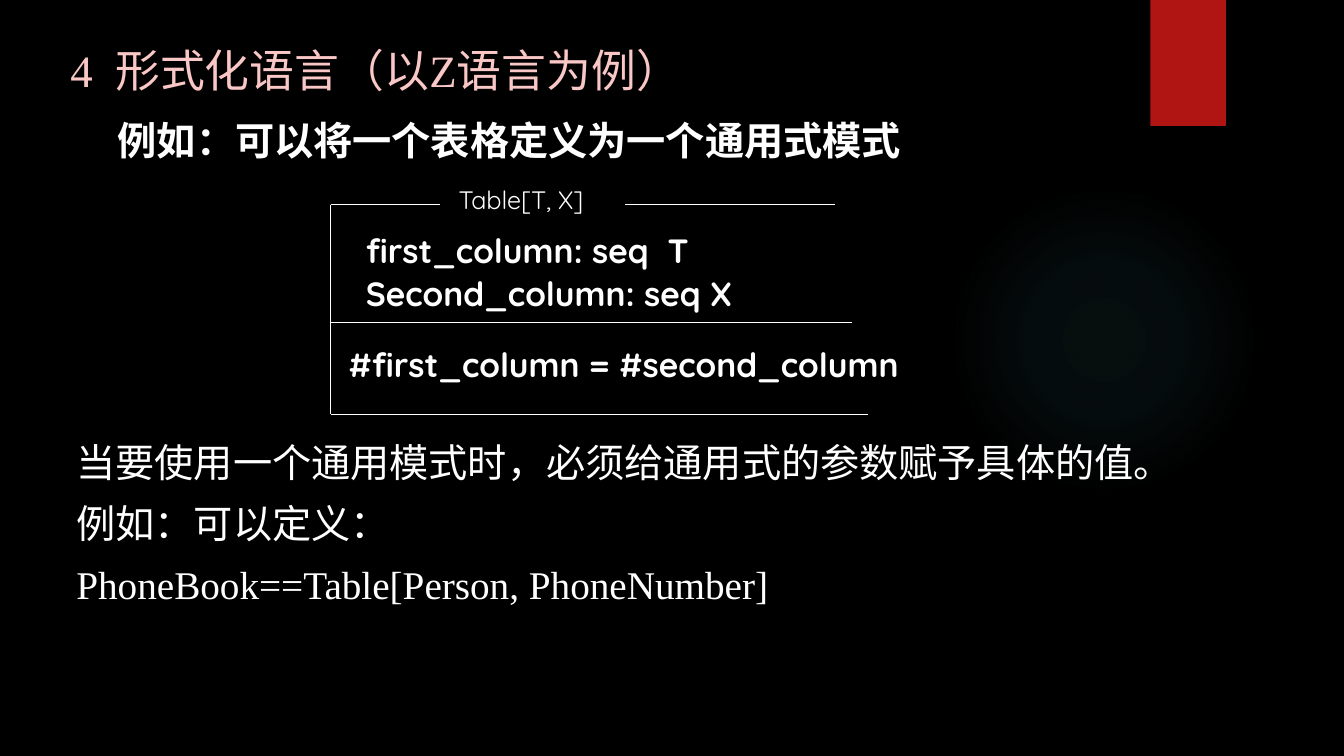
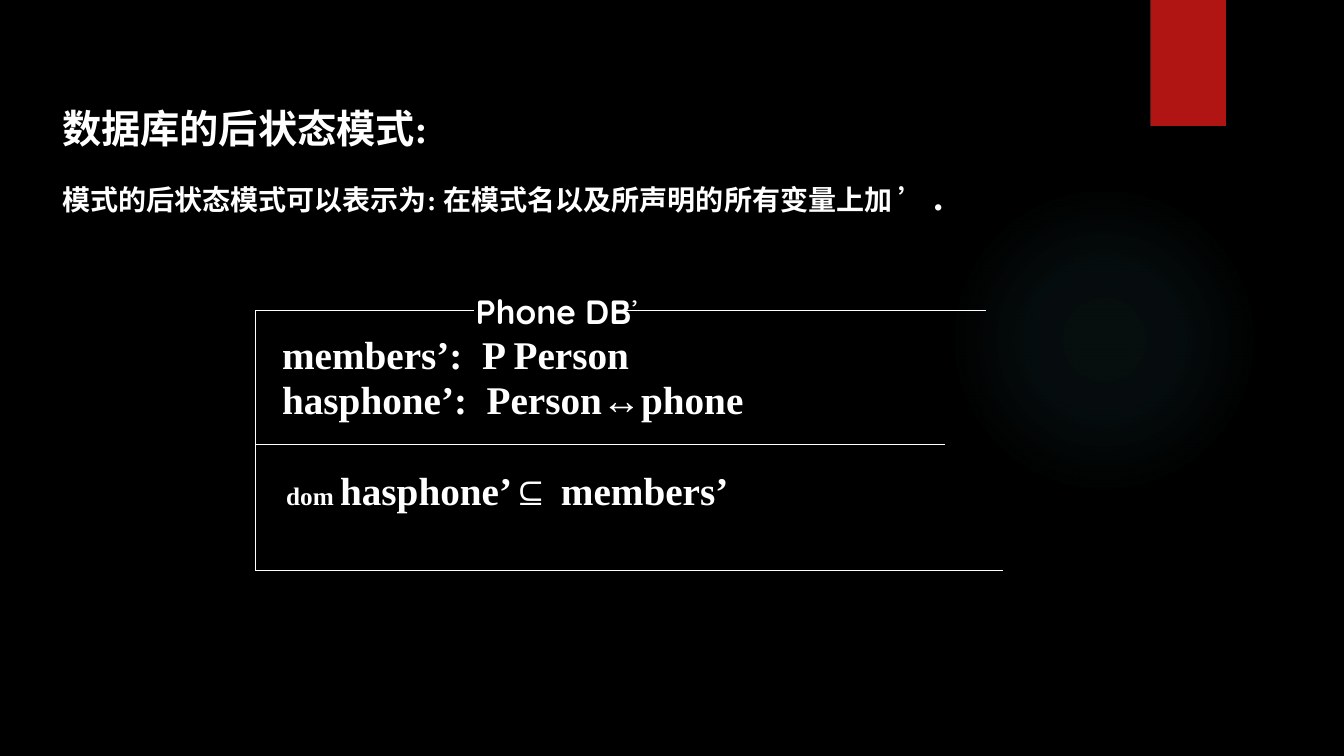
from dataclasses import dataclass

from lxml import etree
from pptx import Presentation
from pptx.dml.color import RGBColor
from pptx.enum import shapes, text
from pptx.oxml import parse_xml
from pptx.oxml.ns import nsdecls, qn
from pptx.util import Inches, Pt


@dataclass(frozen=True)
class Theme:
    background: str = "000000"
    ink: str = "FFFFFF"
    title: str = "F9C7C6"
    ribbon: str = "B01513"
    glow: str = "50B9C1"
    serif: str = "Times New Roman"
    sans: str = "Arial"
    schema: str = "Quicksand"
    title_size: int = 32
    body_size: int = 28
    schema_size: int = 24
    note_size: int = 20
    label_size: int = 18
    rule: float = 0.75


THEME = Theme()
GLOW_STOPS = [(0, 7), (36, 6), (69, 0)]

SLIDES = [
    {
        "schema": {"left": 3.28, "top": 2.03, "divider": 3.2, "bottom": 4.11,
                   "name_gap": (4.36, 6.2), "ends": (8.28, 8.45, 8.61)},
        "texts": [
            {"at": (0.66, 4.3, 12.46, 2.28), "before": 10,
             "lines": ["当要使用一个通用模式时，必须给通用式的参数赋予具体的值。",
                       "例如：可以定义：",
                       "PhoneBook==Table[Person, PhoneNumber]"]},
            {"at": (4.45, 1.78, 1.75, 0.4), "font": THEME.schema,
             "size": THEME.label_size, "lines": ["Table[T, X]"]},
            {"at": (3.53, 2.36, 4.75, 0.83), "font": THEME.schema,
             "size": THEME.schema_size, "bold": True, "before": 12, "spacing": 0.65,
             "lines": ["first_column: seq  T", "Second_column: seq X"]},
            {"at": (3.36, 3.36, 5.75, 0.51), "font": THEME.schema,
             "size": THEME.schema_size, "bold": True,
             "lines": ["#first_column = #second_column"]},
            {"at": (1.07, 1.1, 8.5, 0.75), "font": THEME.sans, "bold": True,
             "lines": ["例如：可以将一个表格定义为一个通用式模式"]},
            {"at": (0.6, 0.37, 11.18, 0.96), "size": THEME.title_size,
             "color": THEME.title, "lines": ["4  形式化语言（以Z语言为例）"]},
        ],
    },
    {
        "schema": {"left": 2.53, "top": 3.08, "divider": 4.41, "bottom": 5.66,
                   "name_gap": (4.7, 6.2), "ends": (9.78, 9.37, 9.95)},
        "texts": [
            {"at": (0.52, 0.99, 12.44, 1.28), "bold": True, "before": 14,
             "lines": ["数据库的后状态模式:",
                       [("模式的后状态模式可以表示为: 在模式名以及所声明的所有变量上加 ’ ",
                         {"size": Pt(THEME.note_size)}), (".", {})]]},
            {"at": (4.62, 2.84, 1.83, 0.51), "font": THEME.schema,
             "size": THEME.schema_size, "bold": True,
             "lines": [[("Phone DB", {}), ("’", {"bold": False})]]},
            {"at": (2.7, 3.41, 7.5, 0.85), "bold": True, "before": 14, "spacing": 0.55,
             "lines": ["members’:  P Person", "hasphone’:  Person↔phone"]},
            {"at": (2.74, 4.58, 5.58, 0.57), "bold": True,
             "lines": [[("dom ", {"size": Pt(THEME.label_size)}),
                        ("hasphone’⊆ members’", {})]]},
        ],
    },
]


def add_plain_shape(page, kind, at, color):
    shape = page.shapes.add_shape(kind, *map(Inches, at))
    shape.shadow.inherit = False
    shape.fill.solid()
    shape.fill.fore_color.rgb = RGBColor.from_string(color)
    shape.line.fill.background()
    return shape


def add_backdrop(page):
    page.background.fill.solid()
    page.background.fill.fore_color.rgb = RGBColor.from_string(THEME.background)
    glow = add_plain_shape(page, shapes.MSO_SHAPE.OVAL, (9.41, 1.83, 3.08, 3.08), THEME.glow)
    stops = "".join(
        f'<a:gs pos="{place * 1000}"><a:srgbClr val="{THEME.glow}">'
        f'<a:alpha val="{alpha * 1000}"/></a:srgbClr></a:gs>'
        for place, alpha in GLOW_STOPS)
    gradient = parse_xml(
        f'<a:gradFill {nsdecls("a")} rotWithShape="1"><a:gsLst>{stops}</a:gsLst>'
        '<a:path path="circle"><a:fillToRect l="50000" t="50000" r="50000" b="50000"/>'
        '</a:path></a:gradFill>')
    properties = glow.element.spPr
    properties.replace(properties.find(qn("a:solidFill")), gradient)
    add_plain_shape(page, shapes.MSO_SHAPE.RECTANGLE, (11.41, 0, 0.75, 1.25), THEME.ribbon)


def add_rule(page, *ends):
    rule = page.shapes.add_connector(shapes.MSO_CONNECTOR.STRAIGHT, *map(Inches, ends))
    rule.line.color.rgb = RGBColor.from_string(THEME.ink)
    rule.line.width = Pt(THEME.rule)
    etree.SubElement(rule.element.spPr, qn("a:effectLst"))


def add_schema(page, left, top, divider, bottom, name_gap, ends):
    gap_start, gap_end = name_gap
    top_end, divider_end, bottom_end = ends
    add_rule(page, left, top, left, bottom)
    for start, end, height in [(left, gap_start, top), (gap_end, top_end, top),
                               (left, divider_end, divider), (left, bottom_end, bottom)]:
        add_rule(page, start, height, end, height)


def add_text(page, at, lines, font=THEME.serif, size=THEME.body_size, color=THEME.ink,
             bold=False, before=0, spacing=None):
    frame = page.shapes.add_textbox(*map(Inches, at)).text_frame
    frame.word_wrap = True
    frame.vertical_anchor = text.MSO_ANCHOR.TOP
    for index, line in enumerate(lines):
        para = frame.add_paragraph() if index else frame.paragraphs[0]
        if index:
            para.space_before = Pt(before)
        if spacing:
            para.line_spacing = spacing
        para.font.name = font
        para.font.size = Pt(size)
        para.font.bold = bold
        para.font.color.rgb = RGBColor.from_string(color)
        for words, changes in [(line, {})] if isinstance(line, str) else line:
            span = para.add_run()
            span.text = words
            for name, value in changes.items():
                setattr(span.font, name, value)


def main():
    deck = Presentation()
    deck.slide_width, deck.slide_height = Inches(13.33), Inches(7.5)
    for content in SLIDES:
        page = deck.slides.add_slide(deck.slide_layouts[6])
        add_backdrop(page)
        add_schema(page, **content["schema"])
        for block in content["texts"]:
            add_text(page, **block)
    deck.save("out.pptx")


if __name__ == "__main__":
    main()
